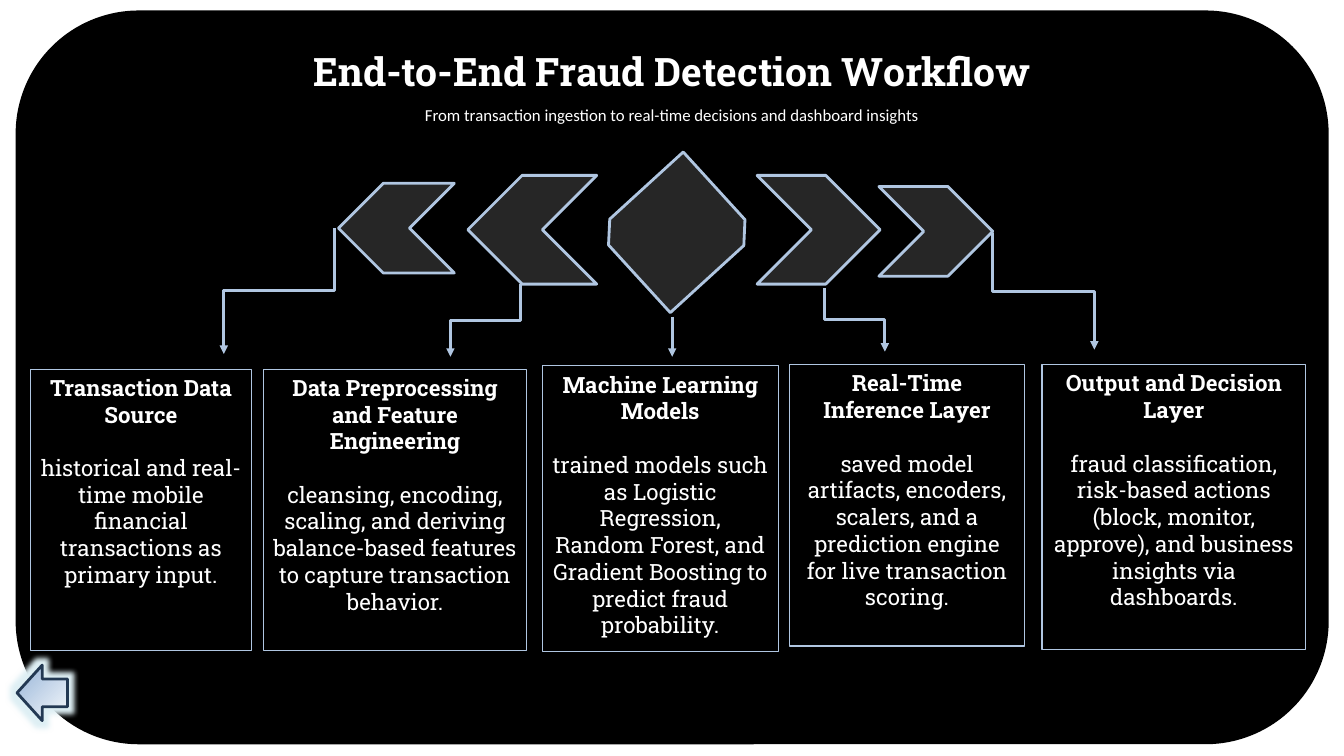
from lxml.etree import SubElement
from pptx import Presentation
from pptx.dml.color import RGBColor
from pptx.enum.shapes import MSO_CONNECTOR, MSO_SHAPE
from pptx.enum.text import MSO_ANCHOR, PP_ALIGN
from pptx.oxml.ns import qn
from pptx.util import Cm, Pt

BLACK = RGBColor(0x00, 0x00, 0x00)
WHITE = RGBColor(0xFF, 0xFF, 0xFF)
CHARCOAL = RGBColor(0x26, 0x26, 0x26)
PALE_BLUE = RGBColor(0xB0, 0xC6, 0xE1)
NAVY = RGBColor(0x23, 0x39, 0x53)
GLOW = RGBColor(0xDF, 0xF0, 0xF5)
ARROW_STOPS = [(0, "F6F9FC"), (74, "B0C6E1"), (83, "B0C6E1"), (100, "CAD9EB")]

SLIDE_WIDTH = 33.87
SLAB = "Roboto Slab"

STAGES = [
    (0.76, 9.3, 5.59, 7.09, "Transaction Data Source",
     "historical and real-time mobile financial transactions as primary input."),
    (6.63, 9.3, 6.65, 7.09, "Data Preprocessing and Feature Engineering",
     "cleansing, encoding, scaling, and deriving balance-based features to capture "
     "transaction behavior."),
    (13.67, 9.22, 5.94, 7.19, "Machine Learning Models",
     "trained models such as Logistic Regression, Random Forest, and Gradient Boosting "
     "to predict fraud probability."),
    (19.89, 9.19, 5.94, 7.09, "Real-Time Inference Layer",
     "saved model artifacts, encoders, scalers, and a prediction engine for live "
     "transaction scoring."),
    (26.26, 9.19, 6.65, 7.19, "Output and Decision Layer",
     "fraud classification, risk-based actions (block, monitor, approve), and business "
     "insights via dashboards."),
]
CHEVRONS = [
    (19.08, 4.42, 3.1, 2.74, False),
    (22.15, 4.7, 2.87, 2.26, False),
    (8.53, 4.62, 2.92, 2.26, True),
    (11.79, 4.42, 3.25, 2.74, True),
]
FLOWS = [
    (20.78, 7.26, 22.3, 8.86),
    (25.02, 5.87, 27.58, 8.81),
    (8.43, 5.74, 5.64, 8.92),
    (13.11, 7.16, 11.35, 8.99),
    (16.94, 7.98, 16.94, 8.99),
]


def write(paragraph, text, size=16, font=SLAB, bold=False, before=0, line=None):
    paragraph.text = text
    paragraph.alignment = PP_ALIGN.CENTER
    paragraph.space_before = Pt(before)
    if line:
        paragraph.line_spacing = Pt(line)
    paragraph.font.name = font
    paragraph.font.size = Pt(size)
    paragraph.font.bold = bold
    paragraph.font.color.rgb = WHITE


class WorkflowSlide:
    """Draws the elements of the workflow slide in one shared style."""

    def __init__(self, slide):
        self.slide = slide
        self.shapes = slide.shapes

    def outline(self, kind, left, top, width, height, fill, line=PALE_BLUE, weight=2):
        shape = self.shapes.add_shape(kind, Cm(left), Cm(top), Cm(width), Cm(height))
        shape.shadow.inherit = False
        shape.fill.solid()
        shape.fill.fore_color.rgb = fill
        shape.line.color.rgb = line
        shape.line.width = Pt(weight)
        return shape

    def panel(self):
        shape = self.outline(MSO_SHAPE.ROUNDED_RECTANGLE, 0.43, 0.3, 33.02, 18.42,
                             BLACK, BLACK)
        self.shapes._spTree.insert(2, shape._element)

    def frame(self, shape):
        frame = shape.text_frame
        frame.word_wrap = True
        frame.vertical_anchor = MSO_ANCHOR.TOP
        return frame

    def title(self, text):
        title = self.shapes.title
        title.left, title.top = Cm(0), Cm(1.07)
        title.width, title.height = Cm(SLIDE_WIDTH), Cm(1.45)
        write(self.frame(title).paragraphs[0], text, size=28, bold=True)

    def subtitle(self, text):
        box = self.shapes.add_textbox(Cm(0), Cm(2.51), Cm(SLIDE_WIDTH), Cm(0.76))
        write(self.frame(box).paragraphs[0], text, size=12, font="Calibri")

    def stage(self, left, top, width, height, heading, detail):
        box = self.outline(MSO_SHAPE.RECTANGLE, left, top, width, height, BLACK, weight=0.75)
        frame = self.frame(box)
        write(frame.paragraphs[0], heading, bold=True, line=19.1)
        write(frame.add_paragraph(), detail, before=19.1, line=19.1)

    def diamond(self):
        shape = self.outline(MSO_SHAPE.SNIP_2_DIAG_RECTANGLE, 15.67, 4.37, 2.77, 2.97,
                             CHARCOAL)
        shape.rotation = 47.6

    def chevron(self, left, top, width, height, mirrored):
        shape = self.outline(MSO_SHAPE.CHEVRON, left, top, width, height, CHARCOAL)
        if mirrored:
            shape._element.spPr.find(qn("a:xfrm")).set("flipH", "1")

    def flow(self, start_x, start_y, end_x, end_y):
        if start_x == end_x:
            connector = self.shapes.add_connector(
                MSO_CONNECTOR.STRAIGHT, Cm(start_x), Cm(start_y), Cm(end_x), Cm(end_y))
        else:
            connector = self.elbow(start_x, start_y, end_x, end_y)
        connector.line.color.rgb = PALE_BLUE
        connector.line.width = Pt(2)
        SubElement(connector.line._get_or_add_ln(), qn("a:tailEnd"), type="triangle")
        SubElement(connector._element.spPr, qn("a:effectLst"))

    def elbow(self, start_x, start_y, end_x, end_y):
        rightward = end_x > start_x
        middle_x, middle_y = (start_x + end_x) / 2, (start_y + end_y) / 2
        reach = (end_y - start_y) / 2 * (-1 if rightward else 1)
        rise = abs(end_x - start_x) / 2
        connector = self.shapes.add_connector(
            MSO_CONNECTOR.ELBOW, Cm(middle_x - reach), Cm(middle_y - rise),
            Cm(middle_x + reach), Cm(middle_y + rise))
        turn = 270 if rightward else 90
        connector._element.spPr.find(qn("a:xfrm")).set("rot", str(turn * 60000))
        return connector

    def back_arrow(self):
        shape = self.outline(MSO_SHAPE.LEFT_ARROW, 0.43, 16.76, 1.27, 1.4, PALE_BLUE, NAVY)
        shape.fill.gradient()
        properties = shape._element.spPr
        gradient = properties.find(qn("a:gradFill"))
        for child in list(gradient):
            gradient.remove(child)
        stops = SubElement(gradient, qn("a:gsLst"))
        for position, color in ARROW_STOPS:
            stop = SubElement(stops, qn("a:gs"), pos=str(position * 1000))
            SubElement(stop, qn("a:srgbClr"), val=color)
        radial = SubElement(gradient, qn("a:path"), path="circle")
        SubElement(radial, qn("a:fillToRect"), l="100000", t="100000")
        glow = SubElement(properties.find(qn("a:effectLst")), qn("a:glow"), rad=str(Pt(8)))
        SubElement(glow, qn("a:srgbClr"), val=str(GLOW))


def main():
    presentation = Presentation()
    presentation.slide_width = Cm(SLIDE_WIDTH)
    presentation.slide_height = Cm(19.05)
    workflow = WorkflowSlide(presentation.slides.add_slide(presentation.slide_layouts[5]))
    workflow.panel()
    workflow.title("End-to-End Fraud Detection Workflow")
    workflow.subtitle("From transaction ingestion to real-time decisions and dashboard insights")
    for stage in STAGES:
        workflow.stage(*stage)
    workflow.diamond()
    for chevron in CHEVRONS:
        workflow.chevron(*chevron)
    for flow in FLOWS:
        workflow.flow(*flow)
    workflow.back_arrow()
    presentation.save("out.pptx")


if __name__ == "__main__":
    main()
